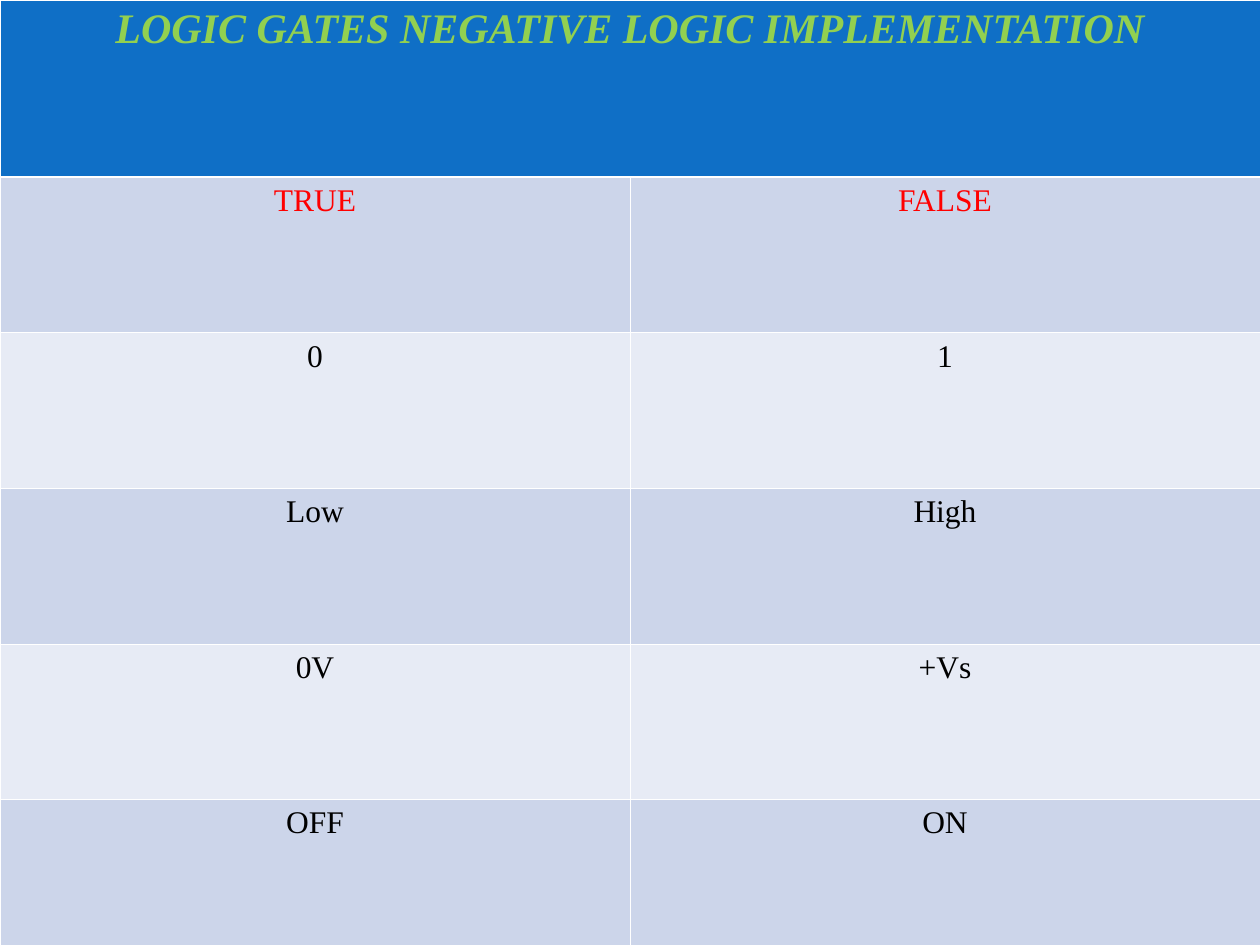
from lxml.etree import SubElement
from pptx import Presentation
from pptx.dml.color import RGBColor
from pptx.enum.text import PP_ALIGN
from pptx.oxml.ns import qn
from pptx.util import Pt

TITLE = "LOGIC GATES NEGATIVE LOGIC IMPLEMENTATION"
ROWS = [
    ("TRUE", "FALSE"),
    ("0", "1"),
    ("Low", "High"),
    ("0V", "+Vs"),
    ("OFF", "ON"),
]
BANDS = ("CCD5EA", "E7EBF5")
THIN, THICK = 0.45, 1.47
TITLE_FONT = {"size": Pt(24), "bold": True, "italic": True}
BODY_FONT = {"size": Pt(18), "bold": False, "italic": False}


def rgb(value):
    return RGBColor.from_string(value)


def set_borders(cell, top, bottom):
    """Draw white borders; must run before the cell is filled."""
    tc_pr = cell._tc.get_or_add_tcPr()
    for side, width in {"L": THIN, "R": THIN, "T": top, "B": bottom}.items():
        ln = SubElement(tc_pr, qn(f"a:ln{side}"), w=str(int(Pt(width))))
        fill = SubElement(ln, qn("a:solidFill"))
        SubElement(fill, qn("a:srgbClr"), val="FFFFFF")


def style_cell(cell, fill, top=THIN, bottom=THIN):
    set_borders(cell, top, bottom)
    cell.fill.solid()
    cell.fill.fore_color.rgb = rgb(fill)


def write_cell(cell, text, color, font):
    p = cell.text_frame.paragraphs[0]
    p.alignment = PP_ALIGN.CENTER
    r = p.add_run()
    r.text = text
    r.font.name = "Times New Roman"
    r.font.color.rgb = rgb(color)
    for name, value in font.items():
        setattr(r.font, name, value)


def add_logic_table(slide, left, top, width, title_height, row_height):
    height = title_height + row_height * len(ROWS)
    table = slide.shapes.add_table(
        len(ROWS) + 1, 2, Pt(left), Pt(top), Pt(width), Pt(height)).table
    for column in table.columns:
        column.width = Pt(width / 2)
    for i, row in enumerate(table.rows):
        row.height = Pt(row_height if i else title_height)

    title = table.cell(0, 0)
    title.merge(table.cell(0, 1))
    for col in range(2):
        style_cell(table.cell(0, col), "0F6FC6", bottom=THICK)
    write_cell(title, TITLE, "92D050", TITLE_FONT)

    for i, texts in enumerate(ROWS):
        for col, text in enumerate(texts):
            cell = table.cell(i + 1, col)
            style_cell(cell, BANDS[i % 2], top=THIN if i else THICK)
            write_cell(cell, text, "000000" if i else "FF0000", BODY_FONT)


def main():
    prs = Presentation()
    prs.slide_width, prs.slide_height = Pt(720), Pt(540)
    slide = prs.slides.add_slide(prs.slide_layouts[6])
    add_logic_table(slide, 0, 0, 720, title_height=101.3, row_height=88.9)
    prs.save("out.pptx")


if __name__ == "__main__":
    main()
